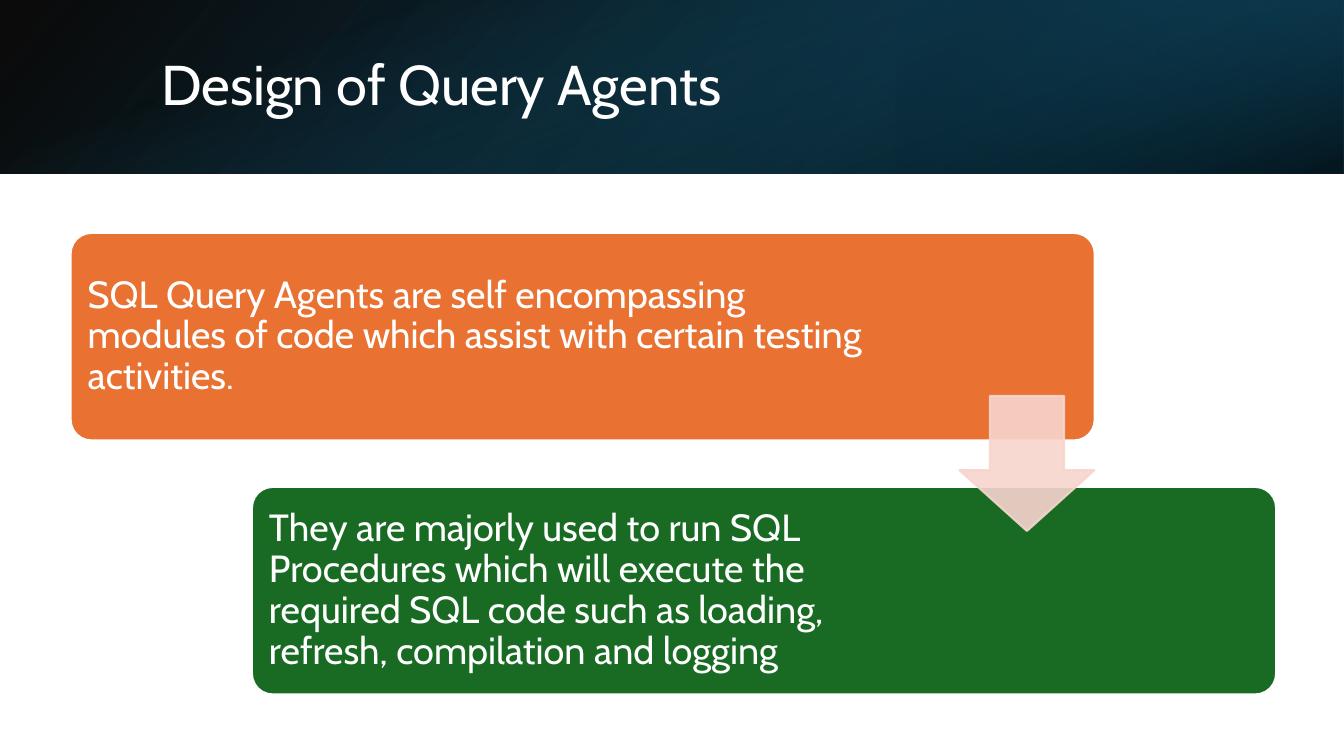
from dataclasses import dataclass

from lxml.etree import SubElement
from pptx import Presentation
from pptx.dml.color import RGBColor
from pptx.enum.shapes import MSO_SHAPE as Geo
from pptx.enum.text import MSO_ANCHOR as Anchor, MSO_AUTO_SIZE as AutoSize, PP_ALIGN as Align
from pptx.oxml.ns import qn
from pptx.shapes.autoshape import Shape
from pptx.util import Cm, Pt

WIDTH, HEIGHT = 33.87, 19.05
BANNER_H = 4.37
BOX_W, BOX_H = 25.81, 5.23
TEXT_GAP = 0.15
WHITE = "FFFFFF"


@dataclass(frozen=True)
class Box:
    left: float
    top: float
    width: float
    height: float

    def cm(self) -> tuple:
        return tuple(Cm(v) for v in (self.left, self.top, self.width, self.height))


@dataclass(frozen=True)
class Stop:
    position: float
    color: str
    opacity: int


@dataclass(frozen=True)
class BannerLayer:
    box: Box
    angle: int
    stops: tuple[Stop, Stop]
    rotation: int = 0
    flip: bool = False


@dataclass(frozen=True)
class Step:
    left: float
    top: float
    text_width: float
    color: str
    text: str


# The turned layer has the banner's centre, with width and height swapped
OFFSET = (WIDTH - BANNER_H) / 2
BANNER = [
    BannerLayer(Box(0, 0, WIDTH, BANNER_H), 140,
                (Stop(0, "000000", 96), Stop(1, "104862", 100)), flip=True),
    BannerLayer(Box(WIDTH * 2 / 3, 0, WIDTH / 3, BANNER_H), 320,
                (Stop(0.19, "0B3041", 68), Stop(1, "156082", 79)), rotation=180, flip=True),
    BannerLayer(Box(OFFSET, -OFFSET, BANNER_H, WIDTH), 340,
                (Stop(0.23, "156082", 0), Stop(0.99, "000000", 74)), rotation=90),
]

STEPS = [
    Step(1.78, 5.87, 20.4, "E97132",
         "SQL Query Agents are self encompassing modules of code "
         "which assist with certain testing activities."),
    Step(6.35, 12.27, 17.53, "196B24",
         "They are majorly used to run SQL Procedures which will execute the required "
         "SQL code such as loading, refresh, compilation and logging"),
]


def rgb(color: str) -> RGBColor:
    return RGBColor.from_string(color)


def set_opacity(color_el, percent: int) -> None:
    SubElement(color_el, qn("a:alpha")).set("val", str(percent * 1000))


def add_shape(shapes, geo: Geo, box: Box) -> Shape:
    sp = shapes.add_shape(geo, *box.cm())
    sp.shadow.inherit = False
    return sp


def paint(sp: Shape, fill: str, line: str) -> None:
    sp.fill.solid()
    sp.fill.fore_color.rgb = rgb(fill)
    sp.line.color.rgb = rgb(line)
    sp.line.width = Pt(1.5)


def write(sp: Shape, text: str, size: int, inset: float) -> None:
    tf = sp.text_frame
    frame = {"word_wrap": True, "auto_size": AutoSize.NONE, "vertical_anchor": Anchor.MIDDLE}
    frame |= {f"margin_{side}": Cm(inset) for side in ("left", "top", "right", "bottom")}
    for name, value in frame.items():
        setattr(tf, name, value)
    p = tf.paragraphs[0]
    p.alignment, p.line_spacing = Align.LEFT, 0.9
    r = p.add_run()
    r.text = text
    for name, value in {"name": "Cabin", "size": Pt(size), "bold": False}.items():
        setattr(r.font, name, value)
    r.font.color.rgb = rgb(WHITE)


def add_banner_layer(shapes, layer: BannerLayer) -> None:
    sp = add_shape(shapes, Geo.RECTANGLE, layer.box)
    sp.rotation = layer.rotation
    if layer.flip:
        sp.element.spPr.find(qn("a:xfrm")).set("flipH", "1")
    sp.line.fill.background()
    sp.fill.gradient()
    sp.fill.gradient_angle = 360 - layer.angle
    for gradient_stop, stop in zip(sp.fill.gradient_stops, layer.stops):
        gradient_stop.position = stop.position
        gradient_stop.color.rgb = rgb(stop.color)
    for color_el, stop in zip(sp.element.spPr.iter(qn("a:srgbClr")), layer.stops):
        set_opacity(color_el, stop.opacity)


def add_step(shapes, step: Step) -> None:
    card = add_shape(shapes, Geo.ROUNDED_RECTANGLE, Box(step.left, step.top, BOX_W, BOX_H))
    card.adjustments[0] = 0.1
    paint(card, step.color, WHITE)
    label = Box(step.left + TEXT_GAP, step.top + TEXT_GAP, step.text_width, BOX_H - 2 * TEXT_GAP)
    write(shapes.add_textbox(*label.cm()), step.text, 27, 0.28)


def add_arrow(shapes, box: Box) -> None:
    arrow = add_shape(shapes, Geo.DOWN_ARROW, box)
    arrow.adjustments[0], arrow.adjustments[1] = 0.55, 0.45
    paint(arrow, "F7D5CE", "F7D5CE")
    for color_el in arrow.element.spPr.iter(qn("a:srgbClr")):
        set_opacity(color_el, 90)


def main() -> None:
    prs = Presentation()
    prs.slide_width, prs.slide_height = Cm(WIDTH), Cm(HEIGHT)
    s = prs.slides.add_slide(prs.slide_layouts[5])

    # Banner
    for layer in BANNER:
        add_banner_layer(s.shapes, layer)

    # Title, brought in front of the banner
    title = s.shapes.title
    title.left, title.top, title.width, title.height = Box(3.81, 0.97, 27.89, 2.44).cm()
    write(title, "Design of Query Agents", 40, 0.25)
    title.element.getparent().append(title.element)

    # Steps and the arrow between them
    process = s.shapes.add_group_shape().shapes
    for step in STEPS:
        add_step(process, step)
    add_arrow(process, Box(24.18, 9.98, 3.4, 3.4))

    prs.save("out.pptx")


if __name__ == "__main__":
    main()
